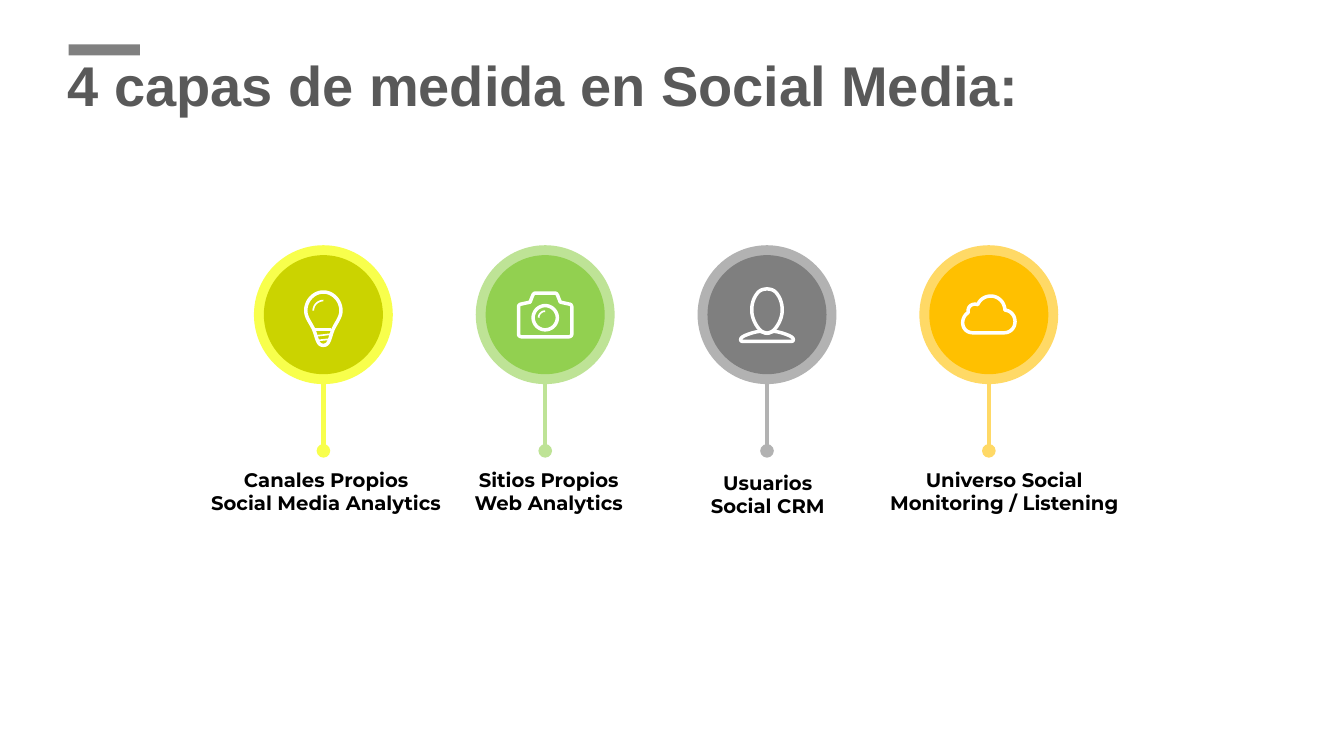
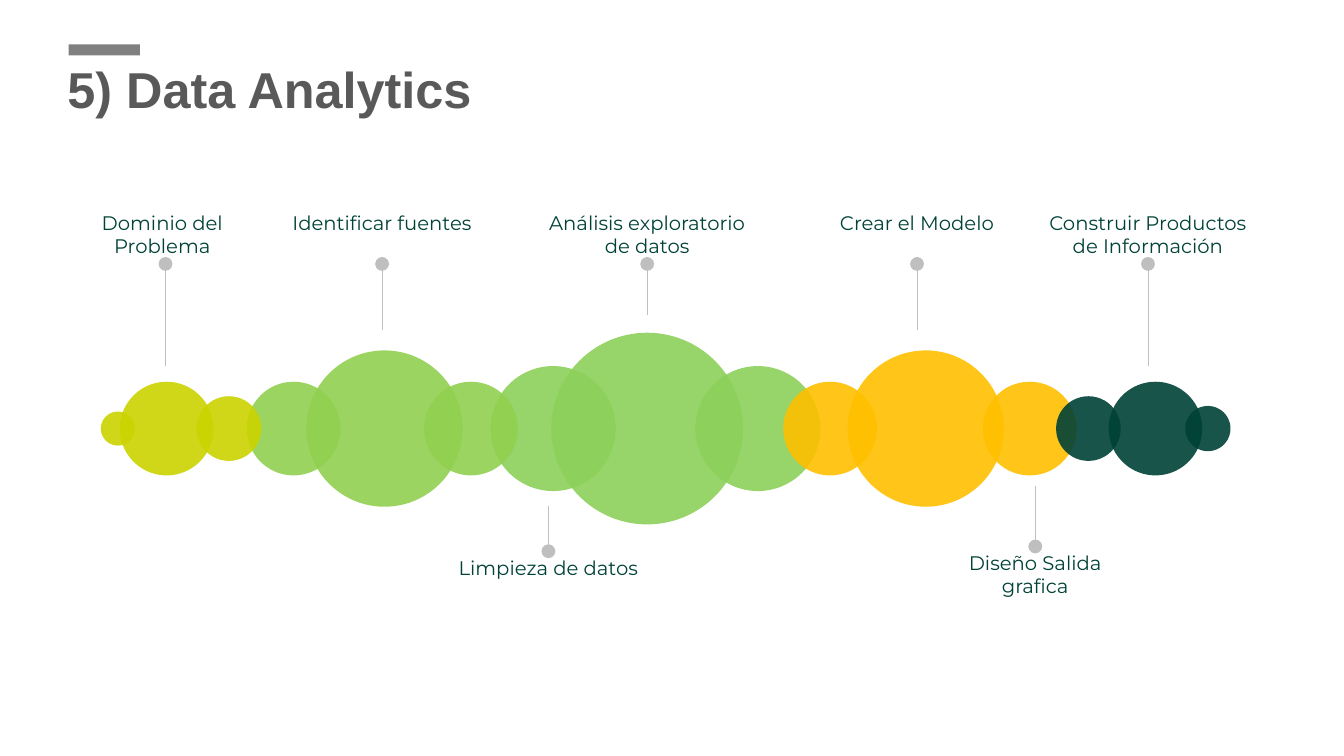
from lxml import etree
from pptx import Presentation
from pptx import util as u
from pptx.dml.color import RGBColor
from pptx.enum import shapes, text
from pptx.oxml.ns import qn

Cm, Pt = u.Cm, u.Pt
COLORS = {
    "bar": "808080", "title": "595959", "label": "000000", "white": "FFFFFF",
    "lime": "CBD300", "lime_ring": "F8FF4C", "green": "92D050",
    "green_ring": "BEE396", "gray": "7F7F7F", "gray_ring": "B2B2B2",
    "amber": "FFC000", "amber_ring": "FFD966", "leaf": "8CD05A",
    "pine": "004237", "pin": "BFBFBF",
}
TITLE_FONT, BODY_FONT = "Arial", "Montserrat"
ICON_UNIT = Cm(1.42) / 56  # icons are 56 units wide, origin at the disc centre

# Strokes: (kind, points width, start, segments). A segment is a line end (x, y)
# or a Bézier (x1, y1, x2, y2, x, y). "mirror" strokes give only the left half.
BULB = [
    ("mirror", 2.5, (0, -22.5), [(-9.5, -22.5, -17.5, -14, -17.5, -4),
                                 (-17.5, 3, -12, 9, -9.5, 15),
                                 (-6, 24, -6, 30.5, 0, 30.5)]),
    ("open", 2.2, (-8, 14.5), [(8, 14.5)]),
    ("open", 1.2, (-6.5, 21), [(6.5, 19.5)]),
    ("open", 1.2, (-4.5, 25.5), [(4.5, 24.5)]),
    ("open", 1.2, (-10, -4), [(-10, -9.5, -5.5, -14, 0, -14)]),
]
CAMERA = [
    ("mirror", 2.5, (0, -21.5), [(-9, -21.5), (-11, -21.5, -11.5, -21, -12.5, -19),
                                 (-15, -12.5), (-24, -10.5),
                                 (-25.5, -10.5, -26.5, -9, -26.5, -7.5), (-26.5, 19),
                                 (-26.5, 21, -25, 22, -23, 22), (0, 22)]),
    ("mirror", 2.5, (0, -9), [(-6.6, -9, -12, -3.6, -12, 3),
                              (-12, 9.6, -6.6, 15, 0, 15)]),
    ("open", 1.2, (-6.5, 3), [(-6.5, -0.6, -3.6, -3.5, 0, -3.5)]),
]
PERSON = [
    ("mirror", 2.5, (0, -25.5), [(-4.5, -25.5, -8, -24, -10.5, -20),
                                 (-15, -14, -16, -5, -14.5, 1),
                                 (-13, 8, -7, 18.5, 0, 18.5)]),
    ("mirror", 2.5, (0, 18.5), [(-7, 16.5), (-17, 18, -26, 22, -26, 24),
                                (-26.5, 26, -25.5, 26.5, -24.5, 26.5), (0, 26.5)]),
]
CLOUD = [
    ("closed", 2.5, (-16, 18), [(15, 18), (22, 18, 26, 12.5, 26, 7),
                                (26, 1, 22, -4, 16, -4.5),
                                (15.5, -13, 9, -18.5, 2, -18.5),
                                (-4, -18.5, -9, -15, -11, -10),
                                (-16, -11.5, -21.5, -9, -20.5, -2),
                                (-24, 0, -26, 4, -26, 8),
                                (-26, 14, -21.5, 18, -16, 18)]),
]

# (colour, icon, label lines, label shift right, label shift down)
LAYERS = [
    ("lime", BULB, ["Canales Propios", "Social Media Analytics"], 0.07, 0),
    ("green", CAMERA, ["Sitios Propios", "Web Analytics"], 0.09, 0),
    ("gray", PERSON, ["Usuarios", "Social CRM"], 0.02, 0.07),
    ("amber", CLOUD, ["Universo Social", "Monitoring / Listening"], 0.39, 0),
]
# (centre from the left of the chain, diameter, colour), back to front
BUBBLES = [
    (13.77, 4.83, "leaf"), (7.15, 3.94, "green"), (1.66, 2.36, "lime"),
    (20.79, 3.94, "amber"), (26.58, 2.36, "pine"), (11.4, 3.15, "leaf"),
    (16.56, 3.15, "leaf"), (9.33, 2.36, "green"), (4.86, 2.36, "green"),
    (3.23, 1.63, "lime"), (0.43, 0.86, "lime"), (18.38, 2.36, "amber"),
    (23.41, 2.36, "amber"), (24.89, 1.63, "pine"), (27.9, 1.14, "pine"),
]
# (x from the left of the chain, pin start and dot from its axis, lines, label shift)
CALLOUTS = [
    (1.63, -1.58, -4.15, ["Dominio del", "Problema"], -0.08),
    (7.09, -2.49, -4.15, ["Identificar fuentes"], 0),
    (11.28, 1.95, 3.09, ["Limpieza de datos"], 0),
    (13.77, -2.85, -4.15, ["Análisis exploratorio", "de datos"], 0),
    (20.57, -2.49, -4.15, ["Crear el Modelo"], 0),
    (26.39, -1.58, -4.15, ["Construir Productos", "de Información"], 0),
    (23.55, 1.44, 2.97, ["Diseño Salida", "grafica"], 0),
]


def rgb(name):
    return RGBColor.from_string(COLORS[name])


def add_filled(s, preset, x, y, w, h, color, alpha=None):
    sp = s.shapes.add_shape(preset, Cm(x), Cm(y), Cm(w), Cm(h))
    sp.shadow.inherit = False
    sp.fill.solid()
    sp.fill.fore_color.rgb = rgb(color)
    sp.line.fill.background()
    if alpha:
        clr = sp.fill._xPr.find(qn("a:solidFill"))[0]
        etree.SubElement(clr, qn("a:alpha")).set("val", str(alpha * 1000))


def add_disc(s, cx, cy, d, color, alpha=None):
    add_filled(s, shapes.MSO_SHAPE.OVAL, cx - d / 2, cy - d / 2, d, d, color, alpha)


def add_pin(s, x, y_start, y_dot, color, width, dot_size):
    """Vertical line that ends in a dot."""
    cn = s.shapes.add_connector(shapes.MSO_CONNECTOR.STRAIGHT,
                                Cm(x), Cm(y_start), Cm(x), Cm(y_dot))
    cn.line.color.rgb = rgb(color)
    cn.line.width = Pt(width)
    etree.SubElement(cn.line._get_or_add_ln(), qn("a:tailEnd"),
                     type="oval", w=dot_size, len=dot_size)
    etree.SubElement(cn._element.spPr, qn("a:effectLst"))


def add_text(s, x, y, w, h, lines, size, color, font=BODY_FONT, bold=False,
             align=text.PP_ALIGN.CENTER, inset=True, wrap=False):
    tf = s.shapes.add_textbox(Cm(x), Cm(y), Cm(w), Cm(h)).text_frame
    tf.word_wrap = wrap
    if not inset:
        tf.margin_left = tf.margin_right = tf.margin_top = tf.margin_bottom = 0
    for i, line in enumerate(lines):
        p = tf.paragraphs[0] if i == 0 else tf.add_paragraph()
        p.text, p.alignment = line, align
        p.font.size, p.font.name, p.font.bold = Pt(size), font, bold
        p.font.color.rgb = rgb(color)
    return tf


def trace(start, segments, steps=12):
    """Turn lines and Bézier segments into a list of points."""
    pts = [start]
    for seg in segments:
        if len(seg) == 2:
            pts.append(seg)
            continue
        (x0, y0), (x1, y1, x2, y2, x3, y3) = pts[-1], seg
        for i in range(1, steps + 1):
            t = i / steps
            a, b, c, d = (1 - t) ** 3, 3 * t * (1 - t) ** 2, 3 * t * t * (1 - t), t ** 3
            pts.append((a * x0 + b * x1 + c * x2 + d * x3,
                        a * y0 + b * y1 + c * y2 + d * y3))
    return pts


def add_icon(s, cx, cy, strokes):
    for kind, width, start, segments in strokes:
        pts = trace(start, segments)
        if kind == "mirror":
            pts += [(-x, y) for x, y in pts[-2:0:-1]]
        pts = [(round(Cm(cx) + x * ICON_UNIT), round(Cm(cy) + y * ICON_UNIT))
               for x, y in pts]
        fb = s.shapes.build_freeform(*pts[0])
        fb.add_line_segments(pts[1:], close=kind != "open")
        sp = fb.convert_to_shape()
        sp.shadow.inherit = False
        sp.fill.background()
        sp.line.color.rgb = rgb("white")
        sp.line.width = Pt(width)


def new_slide(prs, title, y, h, size, spacing):
    """Blank slide with the accent bar and the title."""
    s = prs.slides.add_slide(prs.slide_layouts[6])
    add_filled(s, shapes.MSO_SHAPE.RECTANGLE, 1.73, 1.12, 1.8, 0.28, "bar")
    tf = add_text(s, 1.45, y, 28.37, h, [title], size, "title", TITLE_FONT, True,
                  text.PP_ALIGN.LEFT, wrap=True)
    tf.vertical_anchor = text.MSO_ANCHOR.MIDDLE
    tf.paragraphs[0].line_spacing = spacing
    return s


def add_layer(s, cx, cy, color, icon, lines, dx, dy):
    """Ringed icon, pin and label around one disc centre."""
    ring = color + "_ring"
    add_pin(s, cx, cy + 1.5, cy + 3.43, ring, 3.25, "med")
    add_disc(s, cx, cy, 3.5, ring)
    add_disc(s, cx, cy, 3, color)
    add_icon(s, cx, cy, icon)
    w = 6.8
    add_text(s, cx + dx - w / 2, cy + 3.73 + dy, w, 1.45, lines, 14, "label", bold=True)


def add_chain(s, left, axis):
    """Overlapping bubbles on one axis, with pins and labels."""
    for cx, d, color in BUBBLES:
        add_disc(s, left + cx, axis, d, color, alpha=90)
    w = 5.8
    for x, start, dot, lines, shift in CALLOUTS:
        add_pin(s, left + x, axis + start, axis + dot, "pin", 0.5, "lg")
        top = axis + dot + (0.11 if dot > 0 else -1.34)
        add_text(s, left + x + shift - w / 2, top, w, 0.6 * len(lines), lines, 14,
                 "pine", inset=False)


def main():
    prs = Presentation()
    prs.slide_width, prs.slide_height = Cm(33.87), Cm(19.05)

    # Four layers
    s = new_slide(prs, "4 capas de medida en Social Media:", 1.32, 1.83, 40, 0.9)
    for i, layer in enumerate(LAYERS):
        add_layer(s, 8.15 + 5.59 * i, 7.93, *layer)

    # Process chain
    s = new_slide(prs, "5) Data Analytics", 1.55, 1.63, 36, 0.8)
    add_chain(s, 2.54, 10.8)

    prs.save("out.pptx")


if __name__ == "__main__":
    main()
